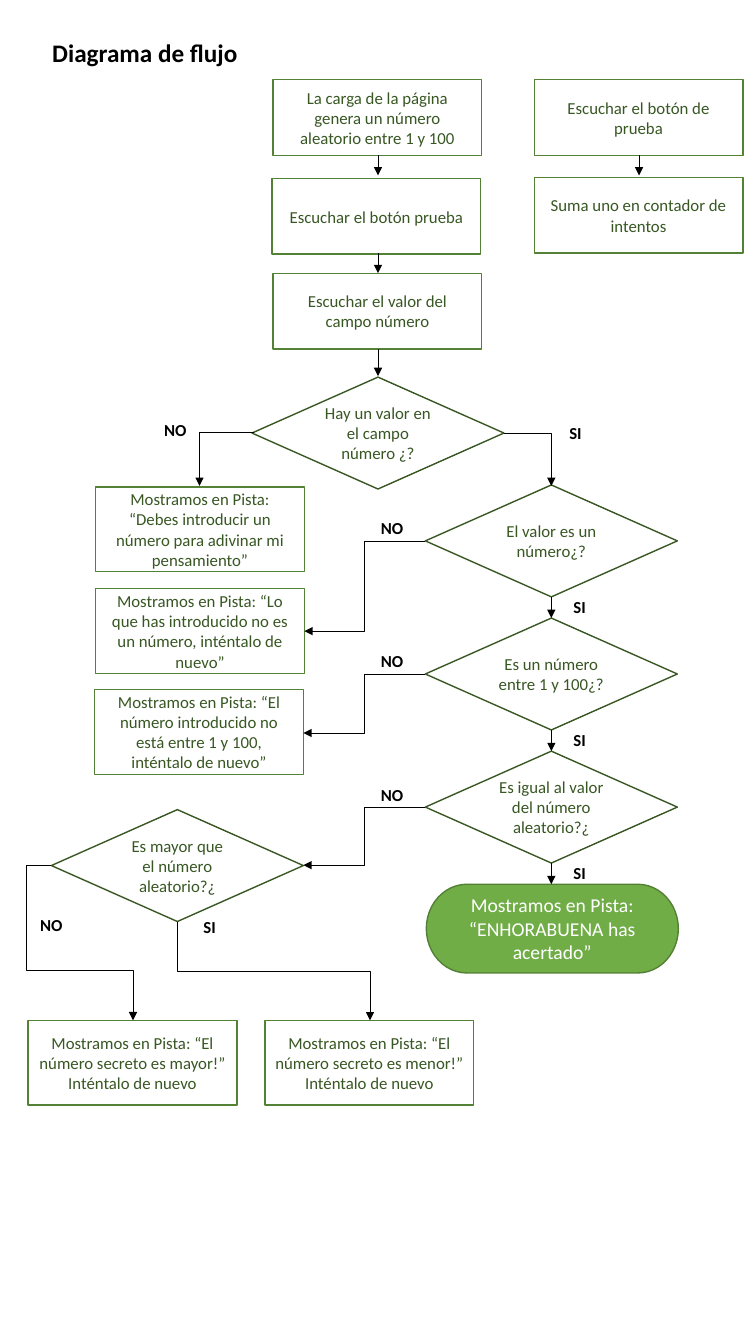
from dataclasses import dataclass

from lxml import etree
from pptx import Presentation
from pptx.dml.color import RGBColor
from pptx.enum.shapes import MSO_CONNECTOR, MSO_SHAPE
from pptx.enum.text import MSO_ANCHOR, PP_ALIGN
from pptx.oxml.ns import qn
from pptx.util import Inches, Pt

PROCESS = MSO_SHAPE.FLOWCHART_PROCESS
DECISION = MSO_SHAPE.FLOWCHART_DECISION
TERMINATOR = MSO_SHAPE.FLOWCHART_TERMINATOR
STRAIGHT, ELBOW = MSO_CONNECTOR.STRAIGHT, MSO_CONNECTOR.ELBOW
MIDDLE = MSO_ANCHOR.MIDDLE
LEFT, CENTER = PP_ALIGN.LEFT, PP_ALIGN.CENTER

FONT = "Calibri"
COLORS = {
    "black": "000000",
    "white": "FFFFFF",
    "text": "385723",
    "process": "548235",
    "decision": "385723",
    "success": "70AD47",
    "success_line": "538035",
}
STEP_H, HINT_H = 0.75, 0.84
PROCESS_W, DECISION_W, DECISION_H = 2.07, 2.5, 1.11
CHECK_X, CHECK_Y, CHECK_STEP = 4.22, 4.81, 1.32
CHECK_MID = CHECK_X + DECISION_W / 2


@dataclass
class Node:
    text: str
    x: float
    y: float
    w: float = PROCESS_W
    h: float = STEP_H
    kind: MSO_SHAPE = PROCESS
    fill: str = "white"
    line: str = "process"
    color: str = "text"
    size: int = 12


@dataclass
class Label:
    text: str
    x: float
    y: float
    w: float = 0.56
    h: float = 0.3
    size: int = 12
    align: PP_ALIGN = CENTER


@dataclass
class Arrow:
    x1: float
    y1: float
    x2: float
    y2: float
    bend: str = ""
    adjust: tuple[float, ...] = ()
    starts_down: bool = False


def rgb(name: str) -> RGBColor:
    return RGBColor.from_string(COLORS[name])


def hint(text: str, x: float, y: float) -> Node:
    return Node(text, x, y, h=HINT_H)


def decision(text: str, x: float, y: float) -> Node:
    return Node(text, x, y, DECISION_W, DECISION_H, DECISION, line="decision")


def write(sp, text: str, size: int, color: str, align: PP_ALIGN, bold: bool = False) -> None:
    tf = sp.text_frame
    tf.word_wrap = True
    tf.text = text
    p = tf.paragraphs[0]
    p.alignment = align
    font = p.runs[0].font
    font.name, font.size, font.bold = FONT, Pt(size), bold
    font.color.rgb = rgb(color)


def draw_node(s, n: Node) -> None:
    sp = s.shapes.add_shape(n.kind, Inches(n.x), Inches(n.y), Inches(n.w), Inches(n.h))
    sp.shadow.inherit = False
    sp.fill.solid()
    sp.fill.fore_color.rgb = rgb(n.fill)
    sp.line.color.rgb = rgb(n.line)
    sp.line.width = Pt(1)
    write(sp, n.text, n.size, n.color, CENTER)
    sp.text_frame.vertical_anchor = MIDDLE


def draw_label(s, b: Label) -> None:
    sp = s.shapes.add_textbox(Inches(b.x), Inches(b.y), Inches(b.w), Inches(b.h))
    write(sp, b.text, b.size, "black", b.align, bold=True)


def draw_arrow(s, a: Arrow) -> None:
    x1, y1, x2, y2 = a.x1, a.y1, a.x2, a.y2
    if a.starts_down:
        cx, cy = (x1 + x2) / 2, (y1 + y2) / 2
        dx, dy = (x2 - x1) / 2, (y2 - y1) / 2
        x1, y1, x2, y2 = cx + dy, cy - dx, cx - dy, cy + dx
    kind = ELBOW if a.bend else STRAIGHT
    cxn = s.shapes.add_connector(kind, Inches(x1), Inches(y1), Inches(x2), Inches(y2))
    cxn.line.color.rgb = rgb("black")
    cxn.line.width = Pt(0.5)
    sp_pr = cxn._element.spPr
    etree.SubElement(sp_pr.find(qn("a:ln")), qn("a:tailEnd"), type="triangle")
    etree.SubElement(sp_pr, qn("a:effectLst"))
    if a.starts_down:
        sp_pr.find(qn("a:xfrm")).set("rot", str(270 * 60000))
    if a.bend:
        geom = sp_pr.find(qn("a:prstGeom"))
        geom.set("prst", a.bend)
        guides = geom.find(qn("a:avLst"))
        for i, value in enumerate(a.adjust, 1):
            etree.SubElement(guides, qn("a:gd"), name=f"adj{i}", fmla=f"val {round(value * 100000)}")


CHECKS = ["El valor es un número¿?", "Es un número entre 1 y 100¿?",
          "Es igual al valor del número aleatorio?¿"]
REJECT_ENDS = [(3.02, 6.26), (3.01, 7.27), (3.01, 8.58)]

nodes = [
    Node("La carga de la página genera un número aleatorio entre 1 y 100", 2.71, 0.79),
    Node("Escuchar el botón prueba", 2.7, 1.77),
    Node("Escuchar el valor del campo número", 2.71, 2.71),
    Node("Escuchar el botón de prueba", 5.3, 0.79),
    Node("Suma uno en contador de intentos", 5.3, 1.76),
    decision("Hay un valor en el campo número ¿?", 2.5, 3.74),
    hint("Mostramos en Pista: “Debes introducir un número para adivinar mi pensamiento”", 0.95, 4.83),
    hint("Mostramos en Pista: “Lo que has introducido no es un número, inténtalo de nuevo”", 0.95, 5.84),
    hint("Mostramos en Pista: “El número introducido no está entre 1 y 100, inténtalo de nuevo”", 0.94, 6.84),
    decision("Es mayor que el número aleatorio?¿", 0.51, 8.03),
    hint("Mostramos en Pista: “El número secreto es mayor!” Inténtalo de nuevo", 0.28, 10.12),
    hint("Mostramos en Pista: “El número secreto es menor!” Inténtalo de nuevo", 2.63, 10.12),
    Node("Mostramos en Pista: “ENHORABUENA has acertado”", 4.23, 8.77, DECISION_W, 0.88,
         TERMINATOR, "success", "success_line", "white", 14),
]
labels = [
    Label("Diagrama de flujo", 0.42, 0.32, 3.03, 0.4, 18, LEFT),
    Label("NO", 1.46, 4.11),
    Label("SI", 5.43, 4.14),
    Label("NO", 0.23, 9.02),
    Label("SI", 1.8, 9.04),
]
arrows = [
    Arrow(3.75, 1.54, 3.75, 1.74),
    Arrow(3.75, 2.51, 3.75, 2.71),
    Arrow(3.75, 3.46, 3.75, 3.73),
    Arrow(6.34, 1.54, 6.34, 1.74),
    Arrow(2.52, 4.29, 1.98, 4.82, "bentConnector2"),
    Arrow(5, 4.3, CHECK_MID, 4.82, "bentConnector2"),
    Arrow(0.51, 8.58, 1.32, 10.12, "bentConnector4", (-0.31, 0.68)),
    Arrow(1.76, 9.14, 3.67, 10.12, "bentConnector3", (0.5,), True),
]
for i, (question, end) in enumerate(zip(CHECKS, REJECT_ENDS)):
    top = CHECK_Y + i * CHECK_STEP
    bottom = top + DECISION_H
    nodes.append(decision(question, CHECK_X, top))
    labels += [Label("NO", 3.61, top + 0.28), Label("SI", 5.47, bottom - 0.05)]
    arrows += [
        Arrow(CHECK_X, top + DECISION_H / 2, *end, "bentConnector3", (0.5,)),
        Arrow(CHECK_MID, bottom, CHECK_MID, bottom + 0.21),
    ]

prs = Presentation()
prs.slide_width, prs.slide_height = Inches(7.5), Inches(13.33)
s = prs.slides.add_slide(prs.slide_layouts[6])
for node in nodes:
    draw_node(s, node)
for arrow in arrows:
    draw_arrow(s, arrow)
for label in labels:
    draw_label(s, label)
prs.save("out.pptx")
